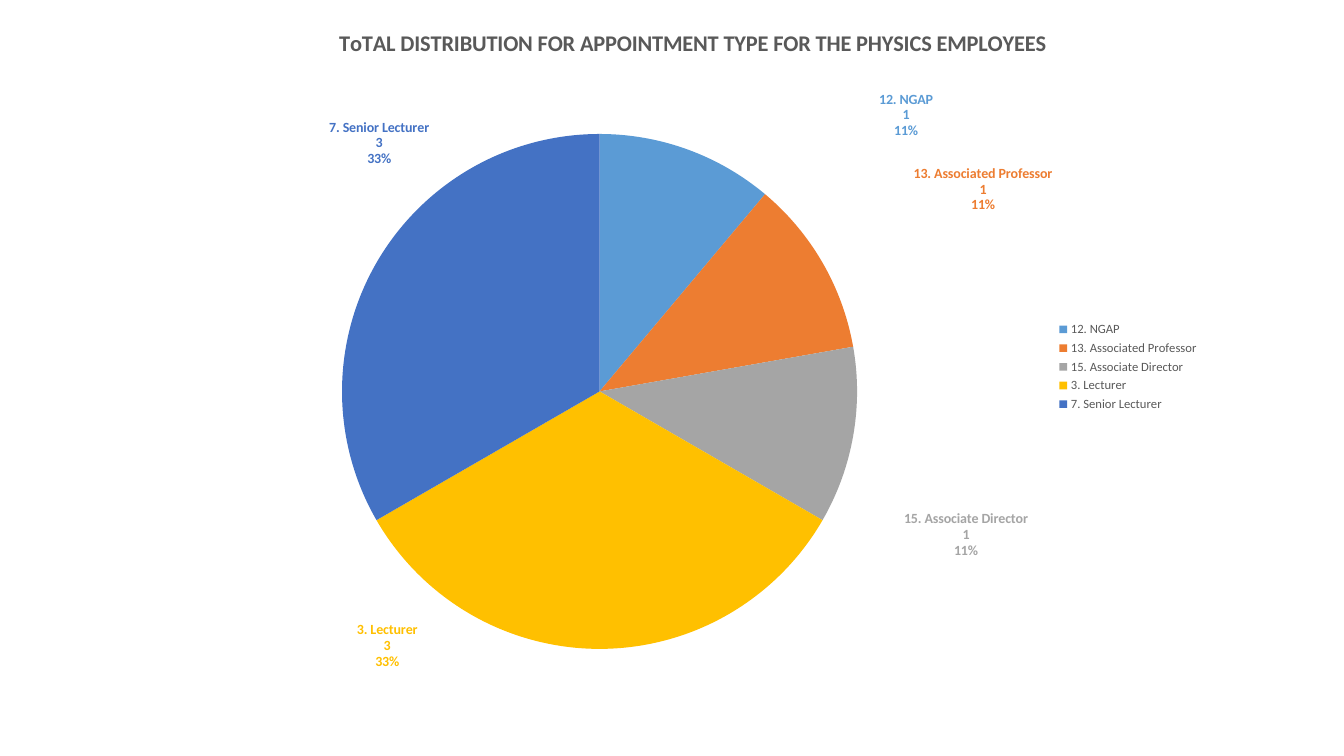
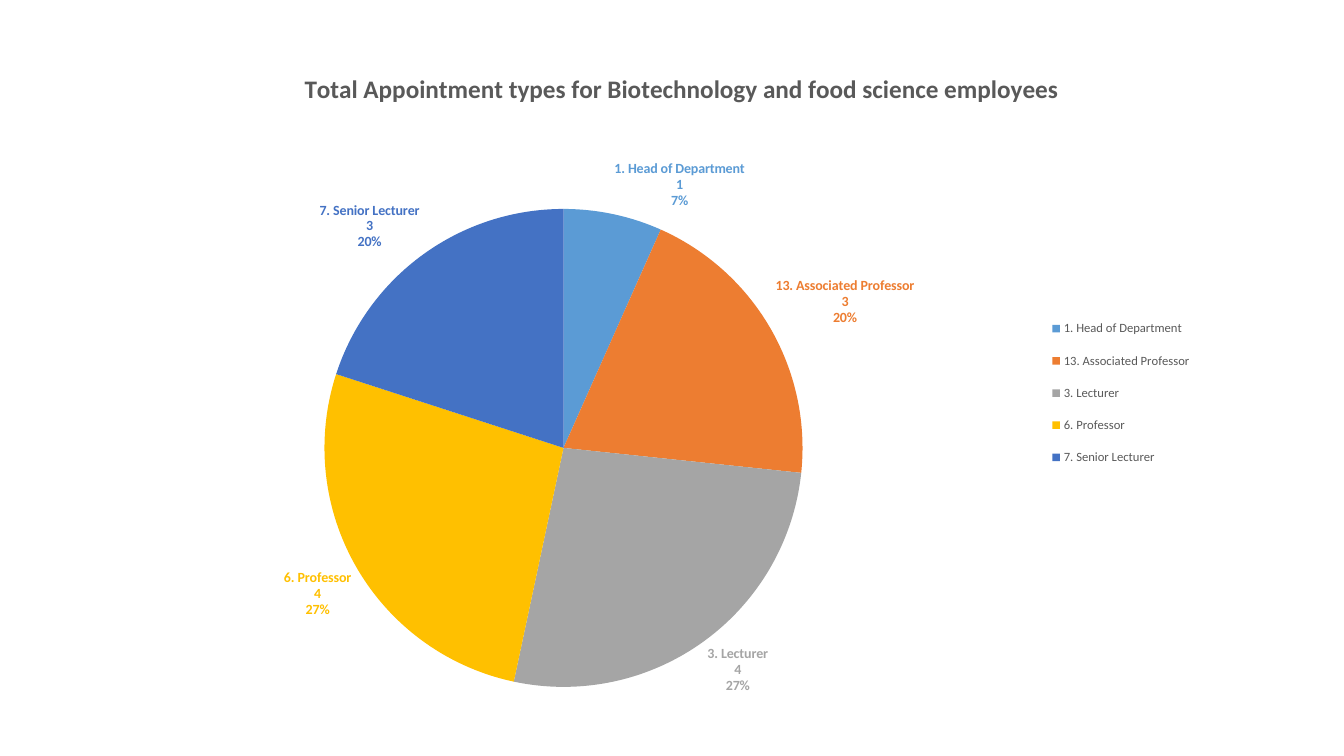
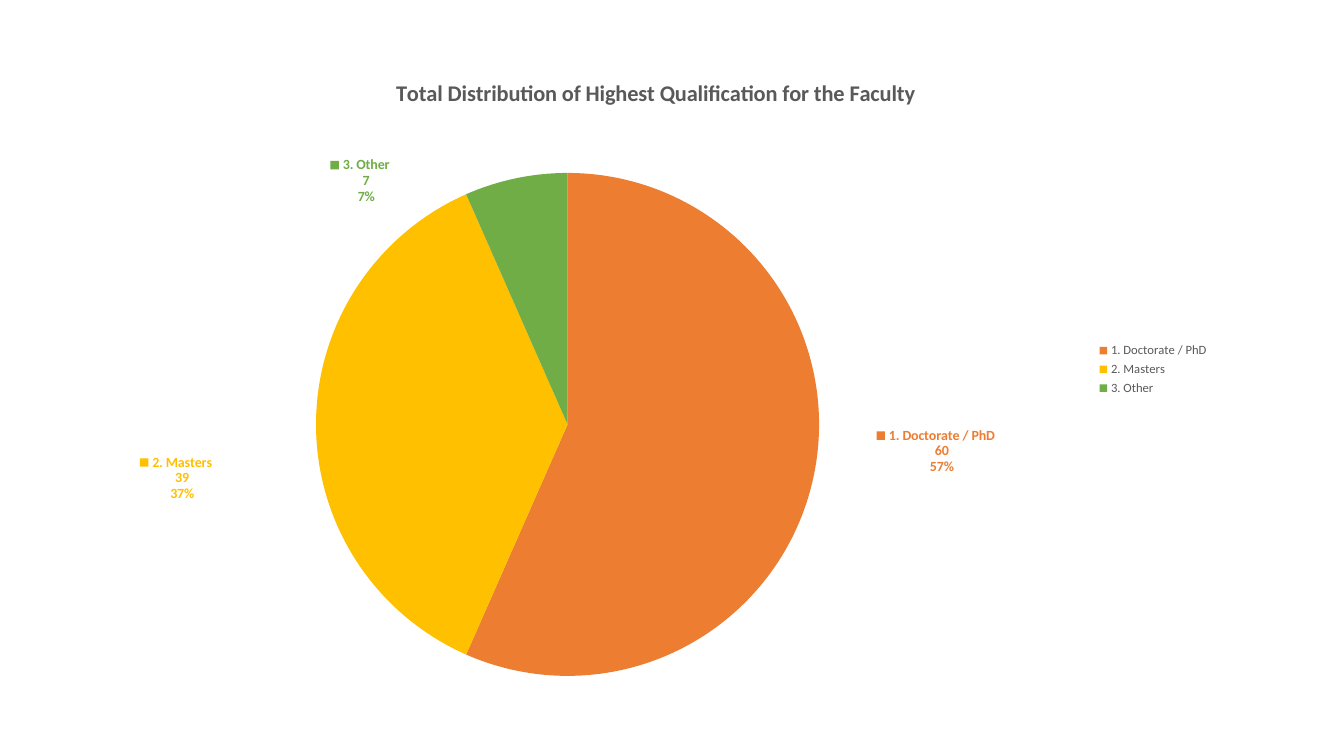
import pptx
import pptx.chart.data
import pptx.dml.color
import pptx.enum.chart
import pptx.oxml
import pptx.oxml.ns
import pptx.util

SLIDE_WIDTH = pptx.util.Inches(13.33)
SLIDE_HEIGHT = pptx.util.Inches(7.5)
FONT = "Calibri"
GREY = "595959"
BLUE, ORANGE, SILVER, GOLD, NAVY, GREEN = (
    "5B9BD5", "ED7D31", "A5A5A5", "FFC000", "4472C4", "70AD47")
STAFF_COLOURS = [BLUE, ORANGE, SILVER, GOLD, NAVY]


def colour(hex_string):
    return pptx.dml.color.RGBColor.from_string(hex_string)


def across(percent):
    return int(SLIDE_WIDTH * percent / 100)


def down(percent):
    return int(SLIDE_HEIGHT * percent / 100)


def format_font(font, size=10, bold=False, ink=GREY):
    font.name = FONT
    font.size = pptx.util.Pt(size)
    font.bold = bold
    font.color.rgb = colour(ink)


def write_text(frame, text, **style):
    run = frame.paragraphs[0].add_run()
    run.text = text
    format_font(run.font, **style)


def chart_element(tag, **attributes):
    element = pptx.oxml.parse_xml(
        f'<c:{tag} {pptx.oxml.ns.nsdecls("c")}/>')
    for name, value in attributes.items():
        element.set(name, str(value))
    return element


def set_layout(parent, index, absolute=True, inner=False, **shares):
    for old in parent.findall(pptx.oxml.ns.qn("c:layout")):
        parent.remove(old)
    layout = chart_element("layout")
    manual = chart_element("manualLayout")
    layout.append(manual)
    if inner:
        manual.append(chart_element("layoutTarget", val="inner"))
    if absolute:
        for mode in ("xMode", "yMode"):
            manual.append(chart_element(mode, val="edge"))
    for name, share in shares.items():
        manual.append(chart_element(name, val=round(share, 5)))
    parent.insert(index, layout)


def box_shares(frame, left, top, width=None, height=None):
    shares = {"x": (left - frame[0]) / frame[2],
              "y": (top - frame[1]) / frame[3]}
    if width:
        shares.update(w=width / frame[2], h=height / frame[3])
    return shares


def add_title(chart, frame, text, corner, size):
    write_text(chart.chart_title.text_frame, text, size=size, bold=True)
    title = chart.element.xpath("c:chart/c:title")[0]
    set_layout(title, 1, **box_shares(frame, *corner))


def add_legend(chart, frame, box):
    chart.has_legend = True
    chart.legend.position = pptx.enum.chart.XL_LEGEND_POSITION.RIGHT
    chart.legend.include_in_layout = False
    format_font(chart.legend.font, size=9)
    if box:
        legend = chart.element.xpath("c:chart/c:legend")[0]
        set_layout(legend, 1, **box_shares(frame, *box))


def place_pie(chart, frame, circle):
    centre_x, centre_y, height = circle
    width = height * SLIDE_HEIGHT / SLIDE_WIDTH
    plot_area = chart.element.xpath("c:chart/c:plotArea")[0]
    set_layout(plot_area, 0, inner=True, **box_shares(
        frame, centre_x - width / 2, centre_y - height / 2, width, height))


def style_slices(chart, frame, colours, label_moves, label_keys):
    series = chart.plots[0].series[0]
    for number, ink in enumerate(colours):
        point = series.points[number]
        point.format.fill.solid()
        point.format.fill.fore_color.rgb = colour(ink)
        point.format.line.fill.background()
        format_font(point.data_label.font, bold=True, ink=ink)
        point.data_label.position = (
            pptx.enum.chart.XL_LABEL_POSITION.OUTSIDE_END)
    shown = {"showLegendKey": int(label_keys), "showVal": 1,
             "showCatName": 1, "showSerName": 0, "showPercent": 1}
    for number, label in enumerate(chart.element.xpath(".//c:ser//c:dLbl")):
        for tag, value in shown.items():
            label.find(pptx.oxml.ns.qn(f"c:{tag}")).set("val", str(value))
        separator = chart_element("separator")
        separator.text = "\n"
        label.append(separator)
        if label_moves:
            move_x, move_y = label_moves[number]
            set_layout(label, 1, absolute=False,
                       x=move_x / frame[2], y=move_y / frame[3])
    for leader in chart.element.xpath(".//c:showLeaderLines"):
        leader.set("val", "0")


def add_pie_slide(deck, title, values, colours, frame, circle, title_corner,
                  title_size=16, legend_box=None, label_moves=None,
                  label_keys=False):
    slide = deck.slides.add_slide(deck.slide_layouts[6])
    data = pptx.chart.data.CategoryChartData()
    data.categories = list(values)
    data.add_series("Series 1", list(values.values()))
    left, top, width, height = frame
    chart = slide.shapes.add_chart(
        pptx.enum.chart.XL_CHART_TYPE.PIE, across(left), down(top),
        across(width), down(height), data).chart
    format_font(chart.font, ink="000000")
    chart.plots[0].vary_by_categories = True
    add_title(chart, frame, title, title_corner, title_size)
    add_legend(chart, frame, legend_box)
    place_pie(chart, frame, circle)
    style_slices(chart, frame, colours, label_moves, label_keys)


def main():
    deck = pptx.Presentation()
    deck.slide_width = SLIDE_WIDTH
    deck.slide_height = SLIDE_HEIGHT
    add_pie_slide(
        deck,
        "ToTAL DISTRIBUTION FOR APPOINTMENT TYPE FOR THE PHYSICS EMPLOYEES",
        {"12. NGAP": 1, "13. Associated Professor": 1,
         "15. Associate Director": 1, "3. Lecturer": 3,
         "7. Senior Lecturer": 3},
        STAFF_COLOURS,
        frame=(13.88, 2.4, 76.07, 92.27),
        circle=(44.61, 51.79, 68.12),
        title_corner=(24.93, 3.1),
        label_moves=[(14.1, -0.7), (6.4, -6.2), (3.35, 9.8),
                     (-15.8, -4.3), (4.3, -12.3)])
    add_pie_slide(
        deck,
        "Total Appointment types for Biotechnology and food science employees",
        {"1. Head of Department": 1, "13. Associated Professor": 3,
         "3. Lecturer": 4, "6. Professor": 4, "7. Senior Lecturer": 3},
        STAFF_COLOURS,
        frame=(5.55, 6.53, 89.57, 89.87),
        circle=(41.93, 59.26, 63.23),
        title_corner=(22.32, 8.8),
        title_size=18,
        legend_box=(77.6, 40.2, 11.6, 23.6))
    add_pie_slide(
        deck,
        "Total Distribution of Highest Qualification for the Faculty",
        {"1. Doctorate / PhD": 60, "2. Masters": 39, "3. Other": 7},
        [ORANGE, GOLD, GREEN],
        frame=(6.23, 6.53, 84.47, 84.67),
        circle=(42.23, 56.15, 66.53),
        title_corner=(29.17, 9.8),
        label_moves=[(4.25, -6.6), (-7.3, 7.1), (-9.3, 4.2)],
        label_keys=True)
    deck.save("out.pptx")


if __name__ == "__main__":
    main()
